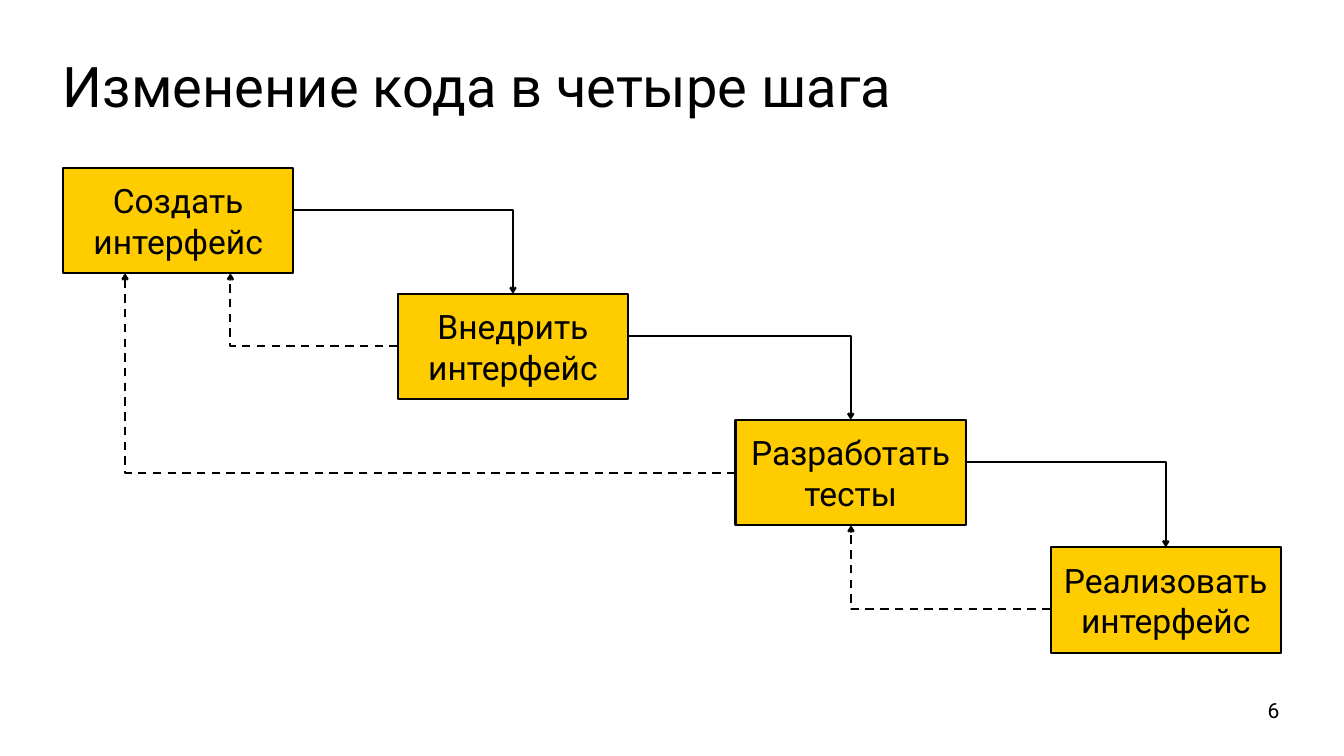
from lxml import etree
from pptx import Presentation
from pptx import util as u
from pptx.dml.color import RGBColor
from pptx.enum import dml, shapes, text
from pptx.oxml.ns import qn

BLACK = RGBColor(0, 0, 0)
AMBER = RGBColor(0xFF, 0xCC, 0x00)
WHITE = RGBColor(0xFF, 0xFF, 0xFF)
FONT = "Roboto"

WIDE, HIGH = 4.57, 2.09
STEPS = [
    ("Создать интерфейс", 1.25, 3.33),
    ("Внедрить интерфейс", 7.89, 5.83),
    ("Разработать тесты", 14.59, 8.33),
    ("Реализовать интерфейс", 20.84, 10.86),
]
# Return arrows: start x, start y, end x, end y
BACKS = [
    (20.84, 12.09, 16.88, 10.42),
    (14.59, 9.38, 2.48, 5.42),
    (7.89, 6.87, 4.57, 5.42),
]


def write(shape, words, size, align, inset, lead=None):
    frame = shape.text_frame
    frame.word_wrap = True
    frame.vertical_anchor = text.MSO_ANCHOR.MIDDLE
    for side in ("left", "right", "top", "bottom"):
        setattr(frame, f"margin_{side}", u.Inches(inset))
    para = frame.paragraphs[0]
    para.alignment = align
    if lead:
        para.line_spacing = u.Pt(lead)
    run = para.add_run()
    run.text = words
    look = {"name": FONT, "size": u.Pt(size)}
    for key, value in look.items():
        setattr(run.font, key, value)
    run.font.color.rgb = BLACK


def label(slide, words, place, size, align, inset, lead=None):
    box = slide.shapes.add_textbox(*map(u.Inches, place))
    write(box, words, size, align, inset, lead)


def block(slide, words, left, top):
    place = map(u.Inches, (left, top, WIDE, HIGH))
    box = slide.shapes.add_shape(shapes.MSO_SHAPE.RECTANGLE, *place)
    box.shadow.inherit = False
    box.fill.solid()
    box.fill.fore_color.rgb = AMBER
    box.line.color.rgb = BLACK
    box.line.width = u.Pt(3)
    write(box, words, 48, text.PP_ALIGN.CENTER, 0.1)


def arrow(slide, x1, y1, x2, y2, back=False):
    # A return arrow is the same elbow turned by half a circle
    ends = (x2, y2, x1, y1) if back else (x1, y1, x2, y2)
    link = slide.shapes.add_connector(
        shapes.MSO_CONNECTOR.ELBOW, *map(u.Inches, ends))
    link.line.color.rgb = BLACK
    link.line.width = u.Pt(3)
    if back:
        link.line.dash_style = dml.MSO_LINE.DASH
    props = link._element.spPr
    props.find(qn("a:prstGeom")).set("prst", "bentConnector2")
    if back:
        props.find(qn("a:xfrm")).set("rot", "10800000")
    etree.SubElement(props.find(qn("a:ln")), qn("a:tailEnd"), type="arrow")
    etree.SubElement(props, qn("a:effectLst"))


def main():
    deck = Presentation()
    deck.slide_width, deck.slide_height = u.Inches(26.66), u.Inches(15)
    slide = deck.slides.add_slide(deck.slide_layouts[6])
    slide.background.fill.solid()
    slide.background.fill.fore_color.rgb = WHITE

    # Title and page number
    label(slide, "Изменение кода в четыре шага", (1.25, 0.83, 24.2, 1.65),
          80, text.PP_ALIGN.LEFT, 0, 100)
    label(slide, "6", (24.18, 13.88, 1.25, 0.42),
          30, text.PP_ALIGN.RIGHT, 0.05)

    # Staircase of steps
    for step in STEPS:
        block(slide, *step)

    # Forward arrows, from a step's side to the top of the next
    for (_, left, top), (_, after, below) in zip(STEPS, STEPS[1:]):
        arrow(slide, left + WIDE, top + 0.83, after + WIDE / 2, below)

    # Dashed return arrows
    for ends in BACKS:
        arrow(slide, *ends, back=True)

    deck.save("out.pptx")


if __name__ == "__main__":
    main()
